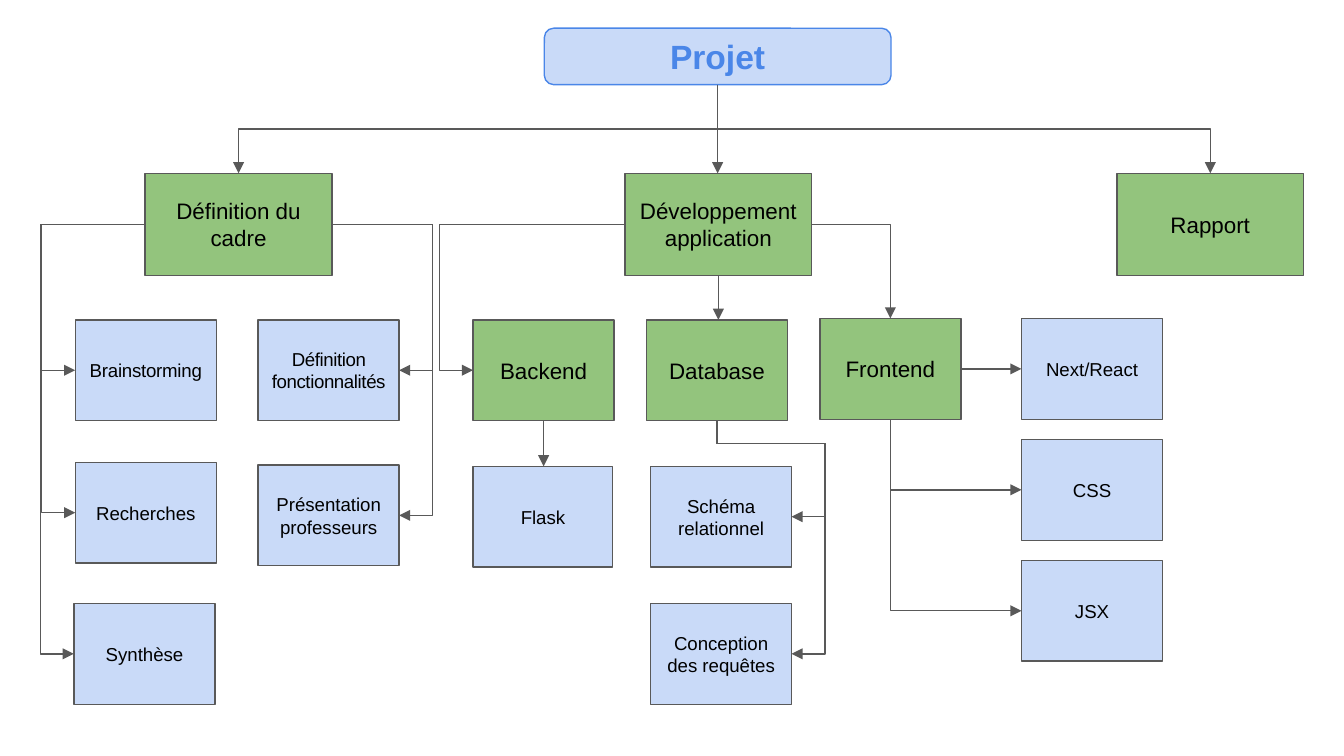
from dataclasses import dataclass

from lxml.etree import SubElement
from pptx import Presentation
from pptx.dml.color import RGBColor
from pptx.enum.shapes import MSO_CONNECTOR as Link, MSO_SHAPE as Preset
from pptx.enum.text import MSO_ANCHOR as Anchor, PP_ALIGN as Align
from pptx.oxml.ns import qn
from pptx.util import Inches, Pt

BLUE, GREEN, GREY, ACCENT, BLACK = "C9DAF8", "93C47D", "595959", "4A86E8", "000000"
LANE = 0.25  # distance between a side lane and the boxes it serves
STEM = 0.17  # drop below a box before a lane turns aside


@dataclass(frozen=True)
class Node:
    label: str
    x: float
    y: float
    w: float = 1.05
    h: float = 0.75
    fill: str = BLUE
    size: int = 10
    spacing: float = 0

    @property
    def top(self) -> tuple[float, float]:
        return self.x + self.w / 2, self.y

    @property
    def bottom(self) -> tuple[float, float]:
        return self.x + self.w / 2, self.y + self.h

    @property
    def left(self) -> tuple[float, float]:
        return self.x, self.y + self.h / 2

    @property
    def right(self) -> tuple[float, float]:
        return self.x + self.w, self.y + self.h / 2


def rgb(value: str) -> RGBColor:
    return RGBColor.from_string(value)


def phase(label: str, x: float) -> Node:
    return Node(label, x, 1.29, 1.39, 0.76, GREEN, 12)


def module(label: str, x: float, y: float) -> Node:
    return Node(label, x, y, fill=GREEN, size=12)


def draw_node(slide, node: Node, preset=Preset.RECTANGLE, line: str = GREY,
              color: str = BLACK, bold: bool = False) -> None:
    box = slide.shapes.add_shape(
        preset, Inches(node.x), Inches(node.y), Inches(node.w), Inches(node.h))
    box.shadow.inherit = False
    box.fill.solid()
    box.fill.fore_color.rgb = rgb(node.fill)
    box.line.color.rgb = rgb(line)
    box.line.width = Pt(0.75)
    frame = box.text_frame
    frame.text = node.label
    frame.word_wrap = True
    frame.vertical_anchor = Anchor.MIDDLE
    frame.margin_left = frame.margin_right = Inches(0.1)
    frame.margin_top = frame.margin_bottom = Inches(0.1)
    paragraph = frame.paragraphs[0]
    paragraph.alignment = Align.CENTER
    font = paragraph.runs[0].font
    font.name = "Arial"
    font.size = Pt(node.size)
    font.bold = bold
    font.color.rgb = rgb(color)
    if node.spacing:
        font._element.set("spc", str(round(node.spacing * 100)))


def draw_arrow(slide, kind, x1: float, y1: float, x2: float, y2: float):
    arrow = slide.shapes.add_connector(kind, Inches(x1), Inches(y1), Inches(x2), Inches(y2))
    arrow.line.color.rgb = rgb(GREY)
    arrow.line.width = Pt(0.75)
    SubElement(arrow.line._get_or_add_ln(), qn("a:tailEnd"), type="triangle")
    SubElement(arrow._element.spPr, qn("a:effectLst"))
    return arrow


def draw_elbow(slide, start, end, *bends: float, downward: bool = False) -> None:
    """Draw an elbow arrow; bends are fractions of the way, downward leaves vertically."""
    (x1, y1), (x2, y2) = start, end
    turn = 0
    if downward:  # lay the route on its side, then turn the frame
        mid_x, mid_y = (x1 + x2) / 2, (y1 + y2) / 2
        half_w, half_h = (y2 - y1) / 2, abs(x2 - x1) / 2
        turn = 270 if x2 > x1 else 90
        if turn == 270:
            half_w = -half_w
        x1, y1, x2, y2 = mid_x - half_w, mid_y - half_h, mid_x + half_w, mid_y + half_h
    arrow = draw_arrow(slide, Link.ELBOW, x1, y1, x2, y2)
    properties = arrow._element.spPr
    if turn:
        properties.find(qn("a:xfrm")).set("rot", str(turn * 60000))
    geometry = properties.find(qn("a:prstGeom"))
    geometry.set("prst", f"bentConnector{len(bends) + 2}")
    guides = geometry.find(qn("a:avLst"))
    if guides is None:
        guides = SubElement(geometry, qn("a:avLst"))
    for number, bend in enumerate(bends, 1):
        SubElement(guides, qn("a:gd"), name=f"adj{number}", fmla=f"val {round(bend * 100000)}")


def draw_lane(slide, start, end) -> None:
    """Leave sideways, run down a lane beyond the end point and come back to it."""
    gap = abs(end[0] - start[0])
    draw_elbow(slide, start, end, 1 + LANE / gap)


# Boxes
project = Node("Projet", 4.05, 0.21, 2.58, 0.42, size=18)
scope = phase("Définition du cadre", 1.08)
development = phase("Développement application", 4.65)
report = phase("Rapport", 8.31)
backend = module("Backend", 3.52, 2.38)
database = module("Database", 4.81, 2.38)
frontend = module("Frontend", 6.1, 2.37)
scope_left = [
    Node("Brainstorming", 0.56, 2.38, spacing=-0.1),
    Node("Recherches", 0.56, 3.44),
    Node("Synthèse", 0.55, 4.49),
]
scope_right = [
    Node("Définition fonctionnalités", 1.92, 2.38, spacing=-0.2),
    Node("Présentation professeurs", 1.92, 3.46),
]
flask = Node("Flask", 3.52, 3.47, 1.04)
database_tasks = [
    Node("Schéma relationnel", 4.84, 3.47),
    Node("Conception des requêtes", 4.84, 4.49),
]
frontend_tools = [
    Node(label, 7.6, 2.37 + row * 0.9)
    for row, label in enumerate(["Next/React", "CSS", "JSX"])
]

# Slide in 16:9
presentation = Presentation()
presentation.slide_width = Inches(10)
presentation.slide_height = Inches(10) * 9 // 16
chart = presentation.slides.add_slide(presentation.slide_layouts[6])

draw_node(chart, project, Preset.ROUNDED_RECTANGLE, ACCENT, ACCENT, True)
for box in [scope, development, report, backend, database, frontend, flask,
            *scope_left, *scope_right, *database_tasks, *frontend_tools]:
    draw_node(chart, box)

# Straight arrows
for upper, lower in [(project, development), (development, database), (backend, flask)]:
    center, bottom = upper.bottom
    draw_arrow(chart, Link.STRAIGHT, center, bottom, center, lower.y)
draw_arrow(chart, Link.STRAIGHT, *frontend.right, *frontend_tools[0].left)

# Project to its outer phases
for branch in (scope, report):
    draw_elbow(chart, project.bottom, branch.top, 0.5, downward=True)

# Side lanes
for task in scope_left:
    draw_lane(chart, scope.left, task.left)
for task in scope_right:
    draw_lane(chart, scope.right, task.right)
draw_lane(chart, development.left, backend.left)

# Single corners
draw_elbow(chart, development.right, frontend.top)
for tool in frontend_tools[1:]:
    draw_elbow(chart, frontend.bottom, tool.left, downward=True)

# Database tasks, reached from their right side
for task in database_tasks:
    across = task.right[0] - database.bottom[0]
    down = task.right[1] - database.bottom[1]
    draw_elbow(chart, database.bottom, task.right, STEM / down, 1 + LANE / across, downward=True)

presentation.save("out.pptx")
